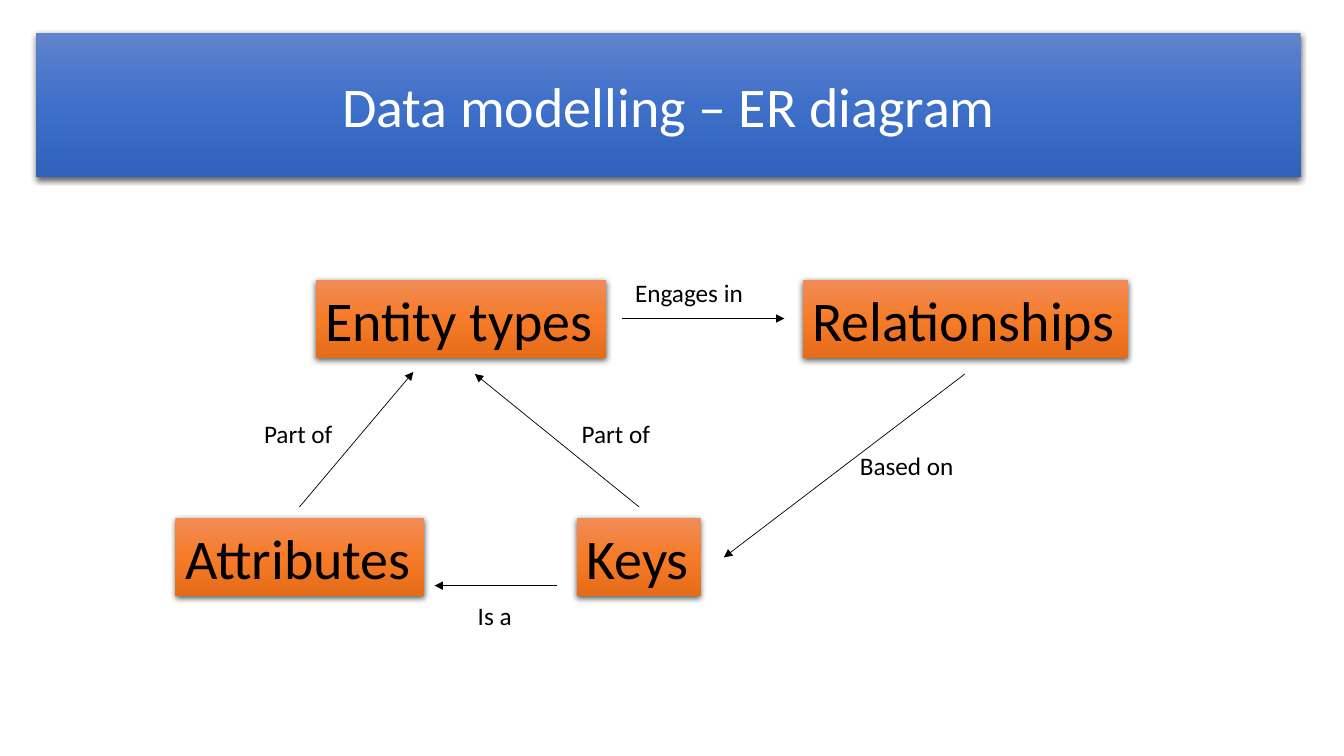
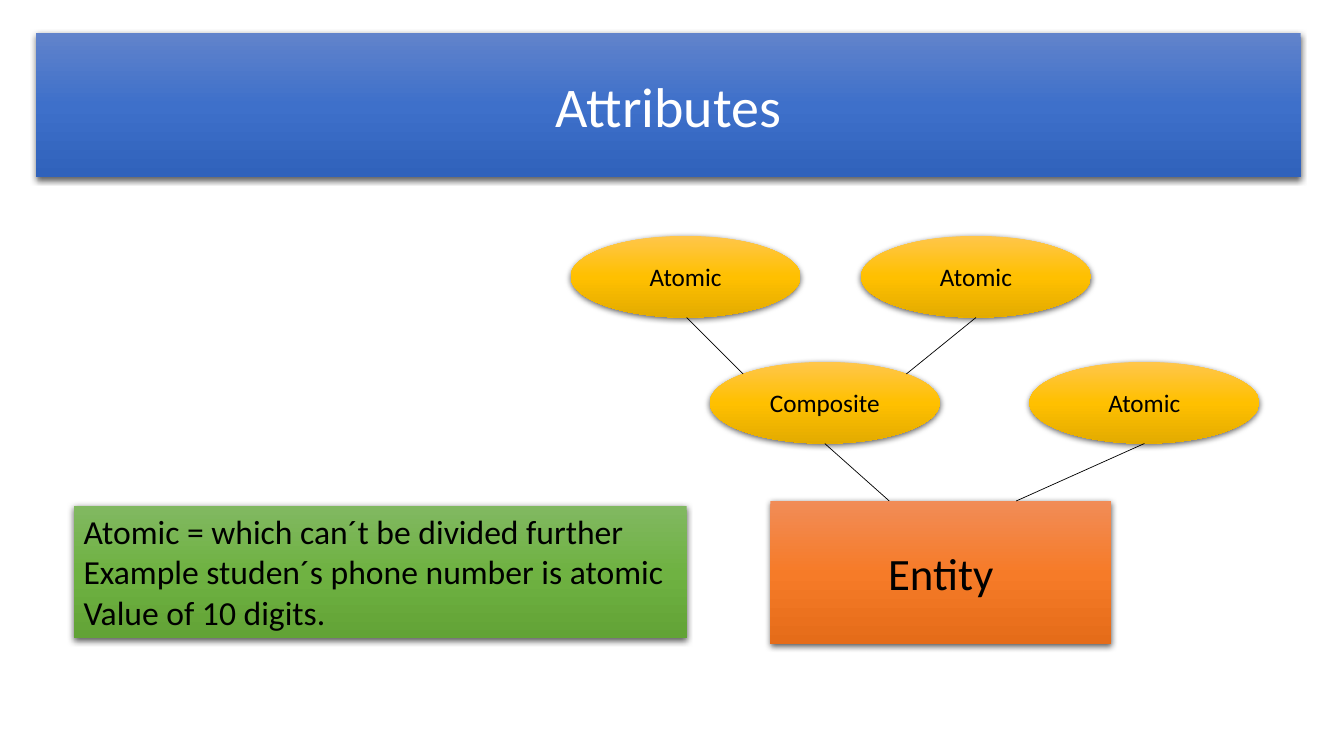
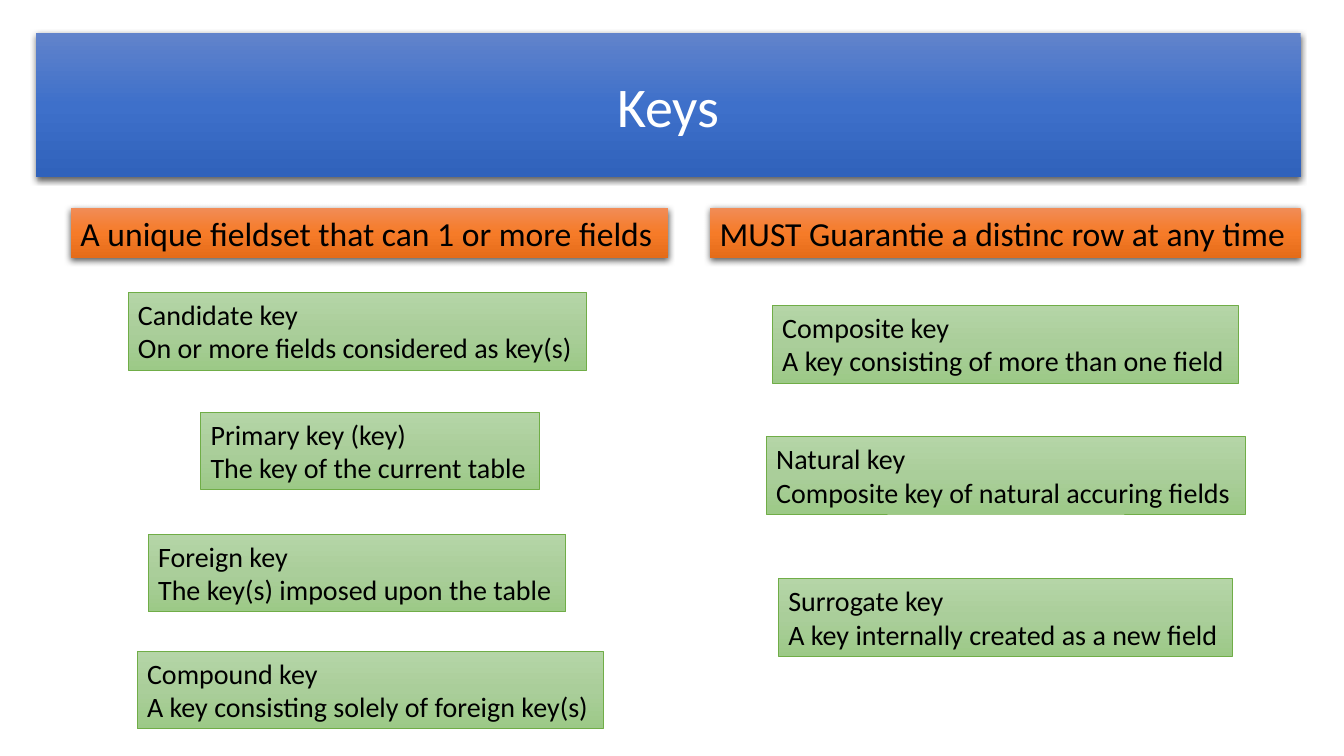
"""Builds three slides about entity-relationship data modelling."""
from copy import deepcopy
from dataclasses import dataclass

from lxml.etree import SubElement
from pptx import Presentation
from pptx.dml.color import RGBColor
from pptx.enum.shapes import MSO_CONNECTOR, MSO_SHAPE
from pptx.enum.text import MSO_ANCHOR, MSO_AUTO_SIZE, PP_ALIGN
from pptx.oxml.ns import qn
from pptx.util import Inches, Pt


@dataclass(frozen=True)
class Theme:
    font: str = "Calibri"
    black: str = "000000"
    white: str = "FFFFFF"
    blue: tuple = ("6183CB", "3E70CA", "3062BB")
    orange: tuple = ("F18C57", "F67B28", "E56C19")
    gold: tuple = ("FFC64B", "FFC000", "E3AB00")
    green: tuple = ("81B861", "6FB242", "62A336")
    pale_green: tuple = ("B5D5A7", "AACE9A", "9CC987")
    green_outline: str = "70AD47"
    hairline: float = 0.5
    title_size: int = 40
    entity_size: int = 32
    statement_size: int = 24
    key_size: int = 20
    label_size: int = 18


def write_text(shape, text, *, size, color, font, centred=False):
    frame = shape.text_frame
    frame.text = text
    frame.word_wrap = centred
    if centred:
        frame.vertical_anchor = MSO_ANCHOR.MIDDLE
    else:
        frame.auto_size = MSO_AUTO_SIZE.SHAPE_TO_FIT_TEXT
    for paragraph in frame.paragraphs:
        paragraph.alignment = PP_ALIGN.CENTER if centred else PP_ALIGN.LEFT
        paragraph.font.size = Pt(size)
        paragraph.font.name = font
        paragraph.font.color.rgb = RGBColor.from_string(color)


class Deck:
    def __init__(self, theme):
        self.theme = theme
        self.presentation = Presentation()
        self.presentation.slide_width = Inches(13.33)
        self.presentation.slide_height = Inches(7.5)
        self.slide = None

    def add_slide(self, title):
        layout = self.presentation.slide_layouts[6]
        self.slide = self.presentation.slides.add_slide(layout)
        self.shape(title, (0.36, 0.33, 12.54, 1.43), self.theme.blue,
                   self.theme.title_size, color=self.theme.white)

    def paint(self, shape, gradient, outline=None):
        shape.fill.gradient()
        shape.fill.gradient_angle = 270
        stop_list = shape.element.spPr.find(qn("a:gradFill")).find(qn("a:gsLst"))
        stop_list.append(deepcopy(stop_list[0]))
        for index, stop in enumerate(shape.fill.gradient_stops):
            stop.position = index / 2
            stop.color.rgb = RGBColor.from_string(gradient[index])
        shape.shadow.inherit = False
        if outline:
            shape.line.color.rgb = RGBColor.from_string(outline)
            shape.line.width = Pt(self.theme.hairline)
        else:
            shape.line.fill.background()
            self.cast_shadow(shape)

    def cast_shadow(self, shape):
        effects = shape.element.spPr.find(qn("a:effectLst"))
        shadow = SubElement(effects, qn("a:outerShdw"), blurRad=str(Pt(4.5)),
                            dist=str(Pt(1.5)), dir="5400000", rotWithShape="0")
        color = SubElement(shadow, qn("a:srgbClr"), val=self.theme.black)
        SubElement(color, qn("a:alpha"), val="63000")

    def shape(self, text, position, gradient, size, color=None, preset=MSO_SHAPE.RECTANGLE):
        shape = self.slide.shapes.add_shape(preset, *map(Inches, position))
        self.paint(shape, gradient)
        write_text(shape, text, size=size, color=color or self.theme.black,
                   font=self.theme.font, centred=True)

    def text_box(self, text, position, size, gradient=None, outline=None):
        shape = self.slide.shapes.add_textbox(*map(Inches, position))
        if gradient:
            self.paint(shape, gradient, outline)
        write_text(shape, text, size=size, color=self.theme.black, font=self.theme.font)

    def line(self, start, end, arrow=False):
        connector = self.slide.shapes.add_connector(
            MSO_CONNECTOR.STRAIGHT, *map(Inches, start + end))
        connector.line.color.rgb = RGBColor.from_string(self.theme.black)
        connector.line.width = Pt(self.theme.hairline)
        properties = connector.element.spPr
        if arrow:
            SubElement(properties.find(qn("a:ln")), qn("a:tailEnd"), type="triangle")
        SubElement(properties, qn("a:effectLst"))


def add_diagram_slide(deck):
    theme = deck.theme
    deck.add_slide("Data modelling – ER diagram")
    for text, left, top, width in (
        ("Entity types", 3.13, 2.78, 2.88),
        ("Relationships", 7.96, 2.78, 3.23),
        ("Attributes", 1.74, 5.14, 2.47),
        ("Keys", 5.72, 5.14, 1.23),
    ):
        deck.text_box(text, (left, top, width, 0.77), theme.title_size, theme.orange)
    for start, end in (
        ((6.34, 5.03), (4.71, 3.71)),
        ((2.97, 5.03), (4.1, 3.69)),
        ((6.17, 3.16), (7.78, 3.16)),
        ((9.57, 3.71), (7.18, 5.53)),
        ((5.52, 5.81), (4.31, 5.81)),
    ):
        deck.line(start, end, arrow=True)
    for text, left, top, width in (
        ("Based on", 8.43, 4.42, 1.14),
        ("Part of", 5.67, 4.1, 0.89),
        ("Part of", 2.52, 4.1, 0.89),
        ("Is a", 4.64, 5.91, 0.54),
        ("Engages in", 6.2, 2.7, 1.28),
    ):
        deck.text_box(text, (left, top, width, 0.4), theme.label_size)


def add_attributes_slide(deck):
    theme = deck.theme
    deck.add_slide("Attributes")
    deck.shape("Entity", (7.64, 4.97, 3.38, 1.42), theme.orange, theme.entity_size)
    for text, left, top in (
        ("Composite", 7.04, 3.59),
        ("Atomic", 5.66, 2.34),
        ("Atomic", 8.54, 2.34),
        ("Atomic", 10.21, 3.59),
    ):
        deck.shape(text, (left, top, 2.28, 0.81), theme.gold, theme.label_size,
                   preset=MSO_SHAPE.OVAL)
    for start, end in (
        ((11.35, 4.4), (10.08, 4.97)),
        ((8.18, 4.4), (8.82, 4.97)),
        ((8.99, 3.71), (9.68, 3.15)),
        ((6.81, 3.15), (7.37, 3.71)),
    ):
        deck.line(start, end)
    definition = "\n".join((
        "Atomic = which can´t be divided further",
        "Example studen´s phone number is atomic",
        "Value of 10 digits.",
    ))
    deck.text_box(definition, (0.73, 5.02, 6.08, 1.31), theme.statement_size, theme.green)


def add_keys_slide(deck):
    theme = deck.theme
    deck.add_slide("Keys")
    for text, left, width in (
        ("A unique fieldset that can 1 or more fields", 0.7, 5.93),
        ("MUST Guarantie a distinc row at any time", 7.04, 5.86),
    ):
        deck.text_box(text, (left, 2.06, width, 0.5), theme.statement_size, theme.orange)
    for name, meaning, left, top, width in (
        ("Candidate key", "On or more fields considered as key(s)", 1.27, 2.9, 4.55),
        ("Primary key (key)", "The key of the current table", 1.99, 4.09, 3.36),
        ("Foreign key", "The key(s) imposed upon the table", 1.47, 5.3, 4.14),
        ("Compound key", "A key consisting solely of foreign key(s)", 1.36, 6.46, 4.62),
        ("Composite key", "A key consisting of more than one field", 7.66, 3.03, 4.62),
        ("Natural key", "Composite key of natural accuring fields", 7.6, 4.33, 4.75),
        ("Surrogate key", "A key internally created as a new field", 7.72, 5.74, 4.5),
    ):
        deck.text_box(f"{name}\n{meaning}", (left, top, width, 0.77), theme.key_size,
                      theme.pale_green, theme.green_outline)


def main():
    deck = Deck(Theme())
    add_diagram_slide(deck)
    add_attributes_slide(deck)
    add_keys_slide(deck)
    deck.presentation.save("out.pptx")


if __name__ == "__main__":
    main()
